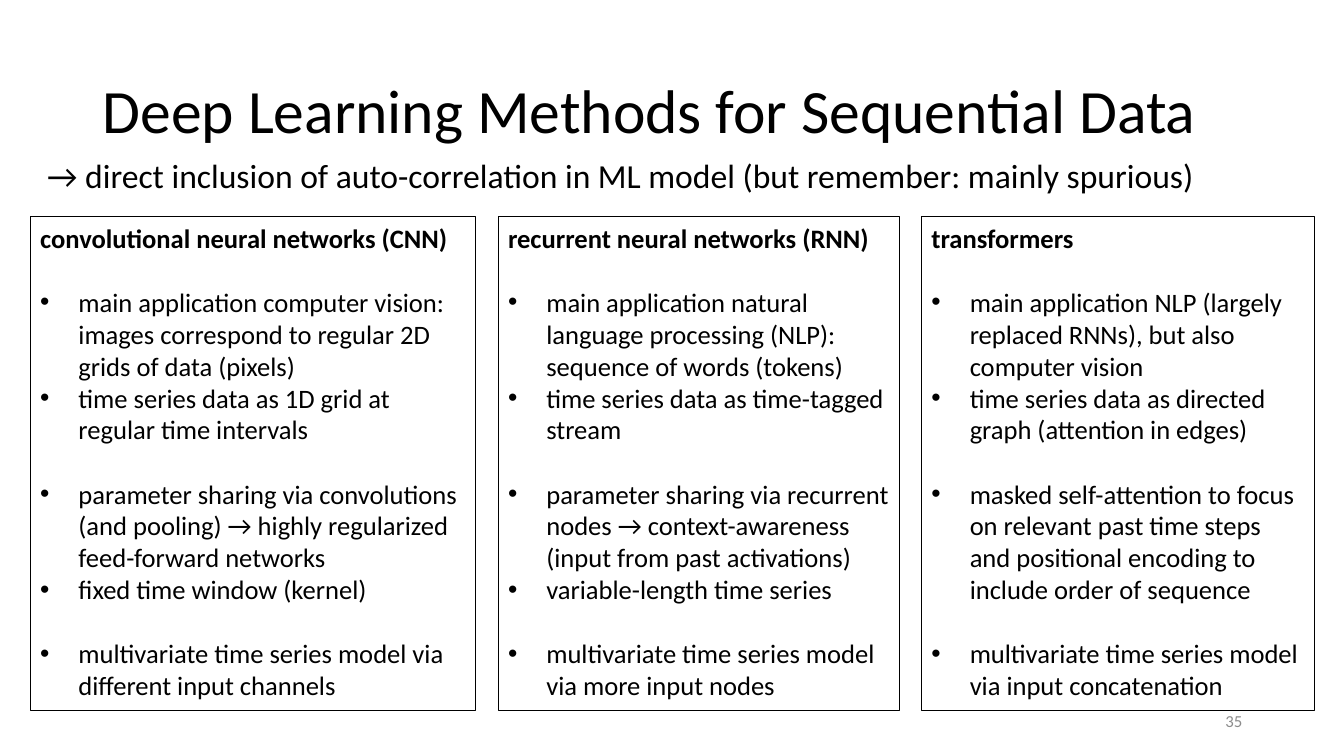
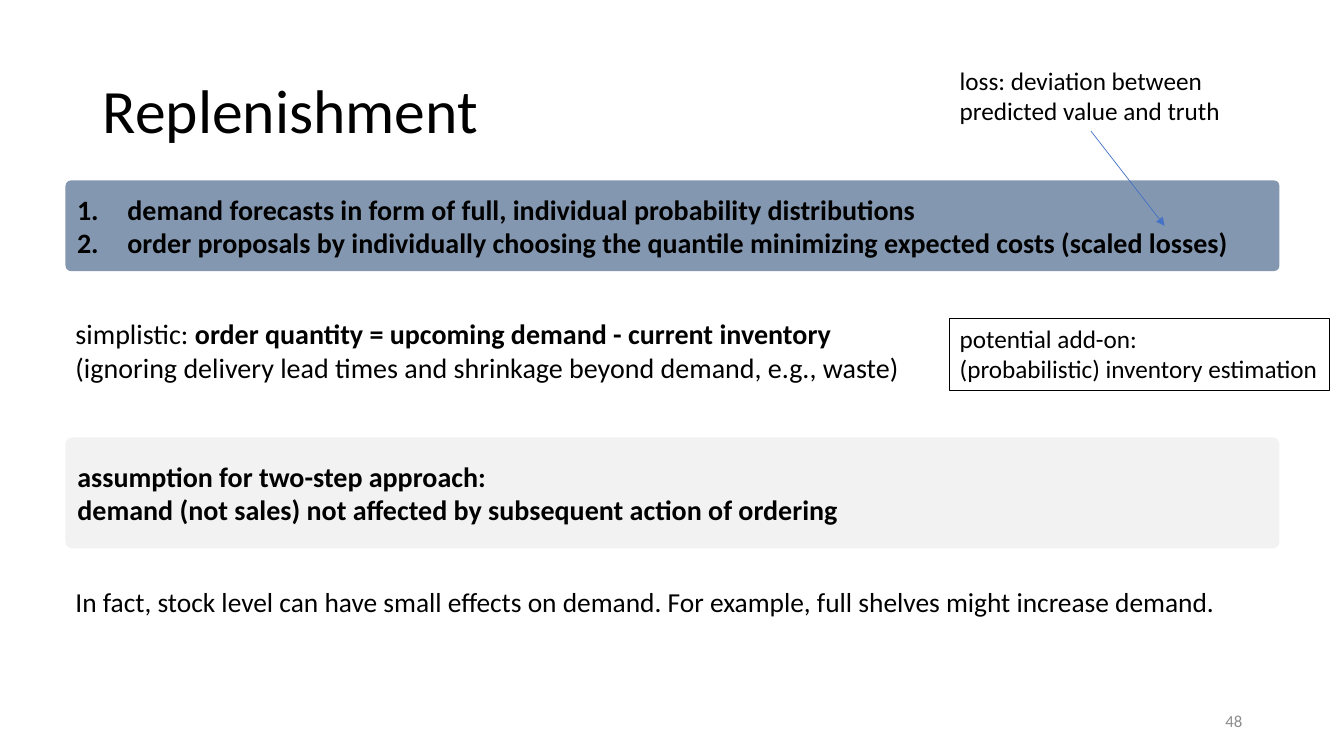
"""Build two slides on sequential deep learning and replenishment."""
from dataclasses import dataclass

from lxml import etree
from pptx import Presentation
from pptx import util as u
from pptx.dml.color import RGBColor
from pptx.enum import shapes, text
from pptx.oxml import ns

FONT = "Calibri"
BLACK, GRAY, BLUE = "000000", "8C8C8C", "4472C4"
SLATE, PALE = "8497B0", "F2F2F2"
BAND_LEFT, BAND_WIDTH = 0.65, 12.04
NOTE_LEFT = 9.42
COLUMN_LEFT, COLUMN_TOP, COLUMN_HEIGHT, COLUMN_GAP = 0.3, 2.15, 4.9, 0.22
BULLET = ("buChar", {"char": "•"}, 0.38)
NUMBER = ("buAutoNum", {"type": "arabicPeriod"}, 0.5)

COLUMNS = [
    (4.42, "convolutional neural networks (CNN)", [
        ["main application computer vision: images correspond to regular 2D grids of data (pixels)",
         "time series data as 1D grid at regular time intervals"],
        ["parameter sharing via convolutions (and pooling) → highly regularized feed-forward networks",
         "fixed time window (kernel)"],
        ["multivariate time series model via different input channels"]]),
    (3.98, "recurrent neural networks (RNN)", [
        ["main application natural language processing (NLP): sequence of words (tokens)",
         "time series data as time-tagged stream"],
        ["parameter sharing via recurrent nodes → context-awareness (input from past activations)",
         "variable-length time series"],
        ["multivariate time series model via more input nodes"]]),
    (3.9, "transformers", [
        ["main application NLP (largely replaced RNNs), but also computer vision",
         "time series data as directed graph (attention in edges)"],
        ["masked self-attention to focus on relevant past time steps "
         "and positional encoding to include order of sequence"],
        ["multivariate time series model via input concatenation"]]),
]


@dataclass
class Line:
    """One paragraph: its runs, list mark and space before in points."""
    runs: list
    mark: tuple = None
    before: float = 0


def plain(words, **options):
    """Return a regular paragraph."""
    return Line([(words, False)], **options)


def strong(words, **options):
    """Return a bold paragraph."""
    return Line([(words, True)], **options)


def color(value):
    """Turn a hex string into a colour."""
    return RGBColor.from_string(value)


def apply(target, formats):
    """Set each format value on the target."""
    for name, value in formats.items():
        setattr(target, name, value)


def box(place):
    """Convert left, top, width and height to lengths."""
    return [u.Inches(value) for value in place]


def add_mark(paragraph, mark):
    """Give a paragraph a hanging bullet or number."""
    tag, attributes, indent = mark
    properties = paragraph._p.get_or_add_pPr()
    properties.set("marL", str(u.Inches(indent)))
    properties.set("indent", str(-u.Inches(indent)))
    if tag == "buChar":
        etree.SubElement(properties, ns.qn("a:buFont"), typeface="Arial")
    etree.SubElement(properties, ns.qn(f"a:{tag}"), attributes)


def write(shape, lines, size, ink=BLACK, anchor=text.MSO_ANCHOR.TOP, **formats):
    """Fill a shape with formatted paragraphs."""
    frame = shape.text_frame
    apply(frame, {"word_wrap": True, "vertical_anchor": anchor})
    for index, line in enumerate(lines):
        paragraph = frame.add_paragraph() if index else frame.paragraphs[0]
        if line.mark:
            add_mark(paragraph, line.mark)
        apply(paragraph, {"alignment": text.PP_ALIGN.LEFT, **formats})
        if line.before:
            paragraph.space_before = u.Pt(line.before)
        for words, bold in line.runs:
            run = paragraph.add_run()
            run.text = words
            apply(run.font, {"name": FONT, "size": u.Pt(size), "bold": bold})
            run.font.color.rgb = color(ink)


def add_text(slide, place, lines, size, **formats):
    """Add a text box."""
    write(slide.shapes.add_textbox(*box(place)), lines, size, **formats)


def add_frame(slide, place, lines, size):
    """Add an outlined text rectangle."""
    shape = slide.shapes.add_shape(shapes.MSO_SHAPE.RECTANGLE, *box(place))
    shape.shadow.inherit = False
    shape.fill.background()
    shape.line.color.rgb = color(BLACK)
    shape.line.width = u.Pt(0.75)
    write(shape, lines, size)


def add_band(slide, top, height, fill, lines):
    """Add a filled, rounded band across the slide."""
    shape = slide.shapes.add_shape(
        shapes.MSO_SHAPE.ROUNDED_RECTANGLE, *box((BAND_LEFT, top, BAND_WIDTH, height)))
    shape.adjustments[0] = 0.06
    shape.shadow.inherit = False
    shape.fill.solid()
    shape.fill.fore_color.rgb = color(fill)
    shape.line.fill.background()
    write(shape, lines, 20, anchor=text.MSO_ANCHOR.MIDDLE)


def add_arrow(slide, ends):
    """Add a thin arrow from start to end."""
    arrow = slide.shapes.add_connector(shapes.MSO_CONNECTOR.STRAIGHT, *box(ends))
    arrow.line.color.rgb = color(BLUE)
    arrow.line.width = u.Pt(0.5)
    etree.SubElement(arrow.line._get_or_add_ln(), ns.qn("a:tailEnd"), type="triangle")
    etree.SubElement(arrow._element.spPr, ns.qn("a:effectLst"))


def add_slide(presentation, title, number):
    """Add a blank slide with its title and page number."""
    slide = presentation.slides.add_slide(presentation.slide_layouts[6])
    middle = text.MSO_ANCHOR.MIDDLE
    add_text(slide, (0.92, 0.4, 11.5, 1.45), [plain(title)], 44,
             anchor=middle, line_spacing=0.9)
    add_text(slide, (9.42, 6.95, 3, 0.4), [plain(number)], 12, ink=GRAY,
             anchor=middle, alignment=text.PP_ALIGN.RIGHT)
    return slide


def build_methods(presentation):
    """Build the comparison of three network types."""
    slide = add_slide(presentation, "Deep Learning Methods for Sequential Data", "35")
    add_text(slide, (0.37, 1.49, 11.7, 0.5), [plain(
        "→ direct inclusion of auto-correlation in ML model (but remember: mainly spurious)")], 24)
    left = COLUMN_LEFT
    for width, heading, groups in COLUMNS:
        lines = [strong(heading)]
        for group in groups:
            lines += [plain(words, mark=BULLET, before=0 if index else 23)
                      for index, words in enumerate(group)]
        add_frame(slide, (left, COLUMN_TOP, width, COLUMN_HEIGHT), lines, 19)
        left += width + COLUMN_GAP


def build_replenishment(presentation):
    """Build the replenishment slide."""
    slide = add_slide(presentation, "Replenishment", "48")
    add_band(slide, 1.79, 0.9, SLATE, [
        strong("demand forecasts in form of full, individual probability distributions", mark=NUMBER),
        strong("order proposals by individually choosing the quantile minimizing "
               "expected costs (scaled losses)", mark=NUMBER)])
    add_band(slide, 4.34, 1.1, PALE, [
        strong("assumption for two-step approach:"),
        strong("demand (not sales) not affected by subsequent action of ordering")])
    add_text(slide, (BAND_LEFT, 3.09, 8.45, 0.77), [
        Line([("simplistic: ", False),
              ("order quantity = upcoming demand - current inventory", True)]),
        plain("(ignoring delivery lead times and shrinkage beyond demand, e.g., waste)")], 20)
    add_text(slide, (BAND_LEFT, 5.84, BAND_WIDTH, 0.55), [plain(
        "In fact, stock level can have small effects on demand. "
        "For example, full shelves might increase demand.")], 19.6, line_spacing=0.7)
    add_frame(slide, (NOTE_LEFT, 3.16, 3.77, 0.71), [
        plain("potential add-on:"), plain("(probabilistic) inventory estimation")], 18)
    add_text(slide, (NOTE_LEFT, 0.6, 2.8, 0.71), [
        plain("loss: deviation between predicted value and truth")], 18)
    add_arrow(slide, (10.82, 1.3, 11.55, 2.24))


def main():
    """Build and save the presentation."""
    presentation = Presentation()
    apply(presentation, {"slide_width": u.Inches(13.33), "slide_height": u.Inches(7.5)})
    build_methods(presentation)
    build_replenishment(presentation)
    presentation.save("out.pptx")


if __name__ == "__main__":
    main()
